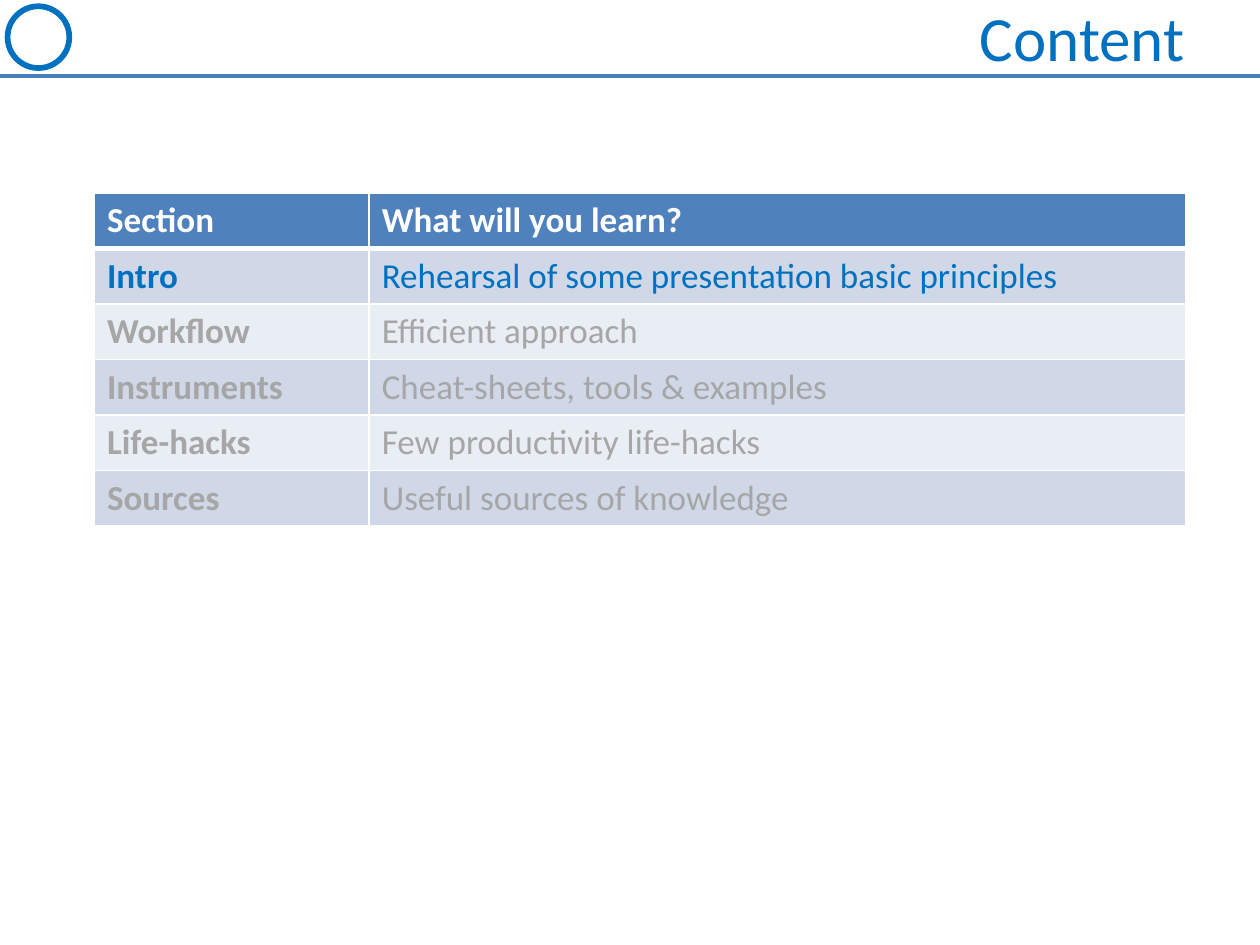
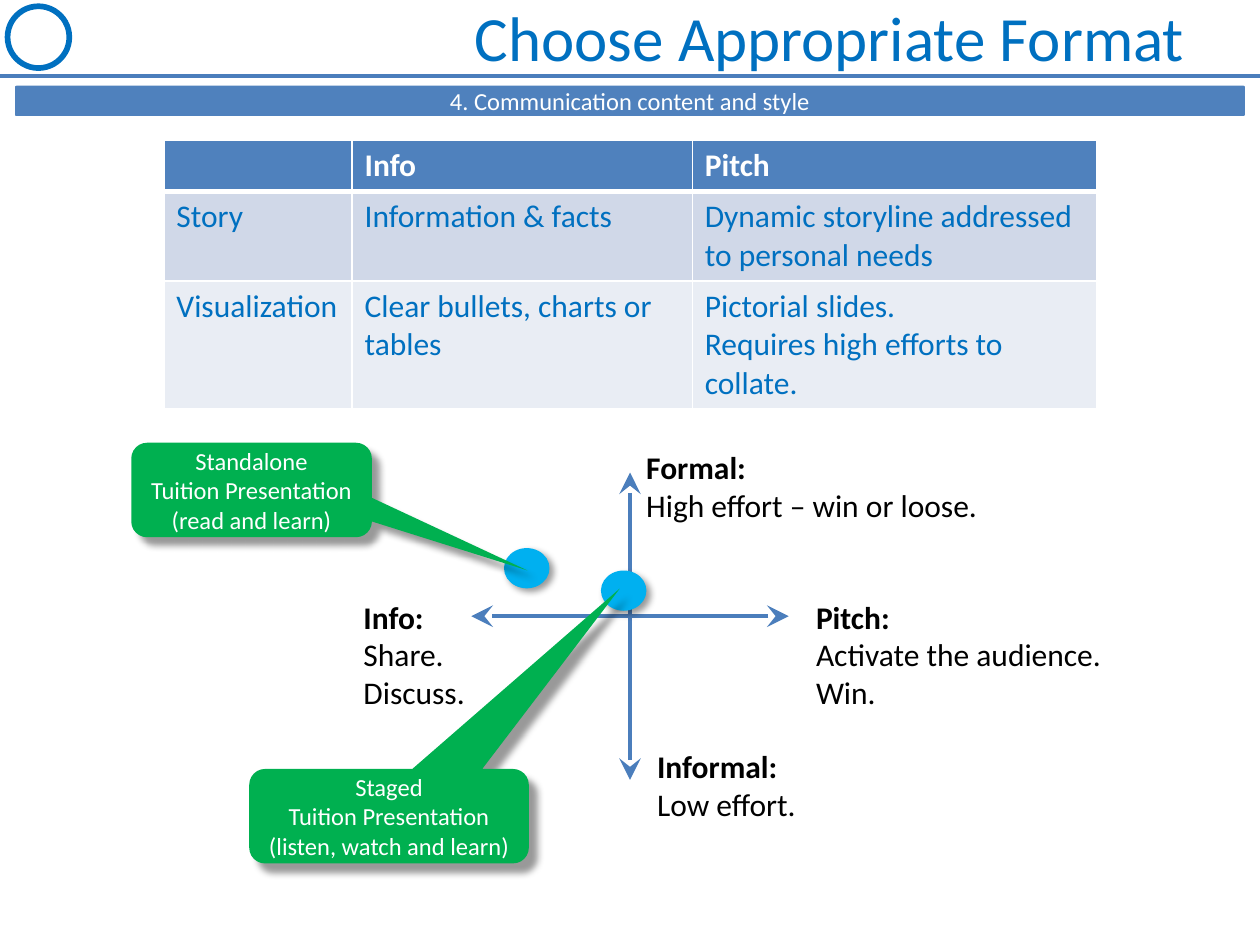
"""Build two slides on presentation planning: a contents table and a format guide."""
from dataclasses import dataclass

from lxml import etree
from pptx import Presentation
from pptx import util as u
from pptx.dml.color import RGBColor
from pptx.enum import shapes, text
from pptx.oxml import ns

FONT = "Calibri"
WHITE = RGBColor(0xFF, 0xFF, 0xFF)
BLACK = RGBColor(0x00, 0x00, 0x00)
BLUE = RGBColor(0x00, 0x70, 0xC0)
GREY = RGBColor(0xA6, 0xA6, 0xA6)
HEADER_BLUE = RGBColor(0x4F, 0x81, 0xBD)
LINE_BLUE = RGBColor(0x4B, 0x7E, 0xBC)
MARKER_BLUE = RGBColor(0x00, 0xB0, 0xF0)
GREEN = RGBColor(0x00, 0xB0, 0x50)
ROW_FILLS = (RGBColor(0xD0, 0xD8, 0xE8), RGBColor(0xE9, 0xED, 0xF4))

SLIDE_WIDTH, SLIDE_HEIGHT = 720, 540
RULE_Y = 43.2
LINE_SPACING = 1.22
CELL_PADDING = 7.2


@dataclass(frozen=True)
class Box:
    left: float
    top: float
    width: float
    height: float

    def points(self) -> tuple:
        return tuple(u.Pt(v) for v in (self.left, self.top, self.width, self.height))


@dataclass(frozen=True)
class Style:
    size: float
    color: RGBColor
    bold: bool = False
    align: text.PP_ALIGN = text.PP_ALIGN.LEFT


@dataclass(frozen=True)
class Grid:
    left: float
    top: float
    columns: tuple[float, ...]
    size: float
    rows: tuple[tuple[str, ...], ...]
    row_colors: tuple[RGBColor, ...]
    bold_first_column: bool = False


@dataclass(frozen=True)
class AxisLabel:
    box: Box
    heading: str
    details: tuple[str, ...]


@dataclass(frozen=True)
class Callout:
    box: Box
    pointer: tuple[float, float]
    marker: Box
    lines: tuple[str, ...]


CONTENT_GRID = Grid(
    54, 110.2, (157, 466.5), 20,
    (("Section", "What will you learn?"),
     ("Intro", "Rehearsal of some presentation basic principles"),
     ("Workflow", "Efficient approach"),
     ("Instruments", "Cheat-sheets, tools & examples"),
     ("Life-hacks", "Few productivity life-hacks"),
     ("Sources", "Useful sources of knowledge")),
    (BLUE, GREY, GREY, GREY, GREY), True)

FORMAT_GRID = Grid(
    93.6, 80.2, (107.6, 194.4, 231), 18,
    (("", "Info", "Pitch"),
     ("Story", "Information & facts",
      "Dynamic storyline addressed to personal needs"),
     ("Visualization", "Clear bullets, charts or tables",
      "Pictorial slides.\nRequires high efforts to collate.")),
    (BLUE, BLUE))

AXES = (((360, 270), (360, 445.7)), ((450.7, 352.1), (269.3, 352.1)))

AXIS_LABELS = (
    AxisLabel(Box(362.2, 252.7, 206.6, 51), "Formal:", ("High effort – win or loose.",)),
    AxisLabel(Box(368.4, 423.2, 95, 51), "Informal:", ("Low effort.",)),
    AxisLabel(Box(200.6, 337.9, 72.7, 72.7), "Info:", ("Share.", "Discuss.")),
    AxisLabel(Box(459.2, 337.9, 179.3, 72.7), "Pitch:", ("Activate the audience.", "Win.")),
)

CALLOUTS = (
    Callout(Box(75, 253, 137.5, 54), (1.146, 0.851), Box(288, 313.2, 26, 23),
            ("Standalone", "Tuition Presentation", "(read and learn)")),
    Callout(Box(142.4, 439.4, 159.8, 54), (0.825, -2.409), Box(343.4, 326, 26, 23),
            ("Staged", "Tuition Presentation", "(listen, watch and learn)")),
)


def add_run(paragraph, words: str, style: Style) -> None:
    paragraph.alignment = style.align
    run = paragraph.add_run()
    run.text = words
    run.font.name = FONT
    run.font.size = u.Pt(style.size)
    run.font.bold = style.bold
    run.font.color.rgb = style.color


def write_lines(frame, lines: list[tuple[str, Style]]) -> None:
    for index, (words, style) in enumerate(lines):
        paragraph = frame.add_paragraph() if index else frame.paragraphs[0]
        add_run(paragraph, words, style)


def add_shadow(shape, distance: float) -> None:
    effects = shape._element.spPr.find(ns.qn("a:effectLst"))
    shadow = etree.SubElement(
        effects, ns.qn("a:outerShdw"), blurRad=str(u.Pt(4)), dist=str(u.Pt(distance)),
        dir="2700000", algn="tl", rotWithShape="0")
    color = etree.SubElement(shadow, ns.qn("a:srgbClr"), val=str(BLACK))
    etree.SubElement(color, ns.qn("a:alpha"), val="40000")


def add_filled(slide, kind: shapes.MSO_SHAPE, box: Box, fill: RGBColor):
    shape = slide.shapes.add_shape(kind, *box.points())
    shape.shadow.inherit = False
    shape.fill.solid()
    shape.fill.fore_color.rgb = fill
    shape.line.fill.background()
    shape.text_frame.vertical_anchor = text.MSO_ANCHOR.MIDDLE
    return shape


def add_line(slide, start: tuple, end: tuple, width: float, arrows: bool = False) -> None:
    ends = [u.Pt(value) for value in (*start, *end)]
    connector = slide.shapes.add_connector(shapes.MSO_CONNECTOR.STRAIGHT, *ends)
    connector.line.color.rgb = LINE_BLUE
    connector.line.width = u.Pt(width)
    properties = connector._element.spPr
    if arrows:
        outline = properties.find(ns.qn("a:ln"))
        for tag in ("a:headEnd", "a:tailEnd"):
            etree.SubElement(outline, ns.qn(tag), type="stealth", w="lg", len="lg")
    etree.SubElement(properties, ns.qn("a:effectLst"))


def add_text(slide, box: Box, lines: list[tuple[str, Style]]):
    shape = slide.shapes.add_textbox(*box.points())
    write_lines(shape.text_frame, lines)
    return shape.text_frame


def add_titled_slide(presentation, title: str):
    slide = presentation.slides.add_slide(presentation.slide_layouts[6])
    add_line(slide, (0, RULE_Y), (SLIDE_WIDTH, RULE_Y), 2.25)
    emblem = slide.shapes.add_shape(shapes.MSO_SHAPE.OVAL, *Box(4.3, 3.6, 35.3, 35.3).points())
    emblem.shadow.inherit = False
    emblem.fill.background()
    emblem.line.color.rgb = BLUE
    emblem.line.width = u.Pt(3.25)
    frame = add_text(slide, Box(36, -2.2, 648, 45.4),
                     [(title, Style(36, BLUE, align=text.PP_ALIGN.RIGHT))])
    frame.word_wrap = True
    frame.auto_size = text.MSO_AUTO_SIZE.NONE
    frame.vertical_anchor = text.MSO_ANCHOR.MIDDLE
    return slide


def add_borders(cell, top: float, bottom: float) -> None:
    properties = cell._tc.get_or_add_tcPr()
    for side, width in (("L", 1), ("R", 1), ("T", top), ("B", bottom)):
        border = etree.SubElement(properties, ns.qn(f"a:ln{side}"), w=str(u.Pt(width)))
        fill = etree.SubElement(border, ns.qn("a:solidFill"))
        etree.SubElement(fill, ns.qn("a:srgbClr"), val=str(WHITE))


def add_grid(slide, grid: Grid) -> None:
    row_height = grid.size * LINE_SPACING + CELL_PADDING
    box = Box(grid.left, grid.top, sum(grid.columns), row_height * len(grid.rows))
    table = slide.shapes.add_table(len(grid.rows), len(grid.columns), *box.points()).table
    for column, width in zip(table.columns, grid.columns):
        column.width = u.Pt(width)
    for row_index, row in enumerate(grid.rows):
        table.rows[row_index].height = u.Pt(row_height)
        header = row_index == 0
        color = WHITE if header else grid.row_colors[row_index - 1]
        for column_index, words in enumerate(row):
            cell = table.cell(row_index, column_index)
            add_borders(cell, 3 if row_index == 1 else 1, 3 if header else 1)
            cell.fill.solid()
            cell.fill.fore_color.rgb = HEADER_BLUE if header else ROW_FILLS[(row_index - 1) % 2]
            bold = header or (grid.bold_first_column and column_index == 0)
            style = Style(grid.size, color, bold)
            if words:
                write_lines(cell.text_frame, [(line, style) for line in words.split("\n")])


def add_axis_label(slide, label: AxisLabel) -> None:
    lines = [(label.heading, Style(18, BLACK, True))]
    lines += [(detail, Style(18, BLACK)) for detail in label.details]
    frame = add_text(slide, label.box, lines)
    frame.word_wrap = False
    frame.auto_size = text.MSO_AUTO_SIZE.SHAPE_TO_FIT_TEXT


def add_callout(slide, callout: Callout) -> None:
    shape = add_filled(slide, shapes.MSO_SHAPE.ROUNDED_RECTANGULAR_CALLOUT, callout.box, GREEN)
    for index, value in enumerate((*callout.pointer, 0.167)):
        shape.adjustments[index] = value
    add_shadow(shape, 7)
    style = Style(14, WHITE, align=text.PP_ALIGN.CENTER)
    write_lines(shape.text_frame, [(line, style) for line in callout.lines])


def build_content(presentation) -> None:
    slide = add_titled_slide(presentation, "Content")
    add_grid(slide, CONTENT_GRID)


def build_format(presentation) -> None:
    slide = add_titled_slide(presentation, "Choose Appropriate Format")
    band = add_filled(slide, shapes.MSO_SHAPE.ROUNDED_RECTANGLE,
                      Box(8.6, 49, 702.8, 17.3), HEADER_BLUE)
    band.adjustments[0] = 0.046
    write_lines(band.text_frame, [("4. Communication content and style",
                                   Style(14, WHITE, align=text.PP_ALIGN.CENTER))])
    add_grid(slide, FORMAT_GRID)
    for start, end in AXES:
        add_line(slide, start, end, 2.5, arrows=True)
    for label in AXIS_LABELS:
        add_axis_label(slide, label)
    for callout in CALLOUTS:
        add_shadow(add_filled(slide, shapes.MSO_SHAPE.OVAL, callout.marker, MARKER_BLUE), 3)
    for callout in CALLOUTS:
        add_callout(slide, callout)


def main() -> None:
    presentation = Presentation()
    presentation.slide_width = u.Pt(SLIDE_WIDTH)
    presentation.slide_height = u.Pt(SLIDE_HEIGHT)
    build_content(presentation)
    build_format(presentation)
    presentation.save("out.pptx")


main()
